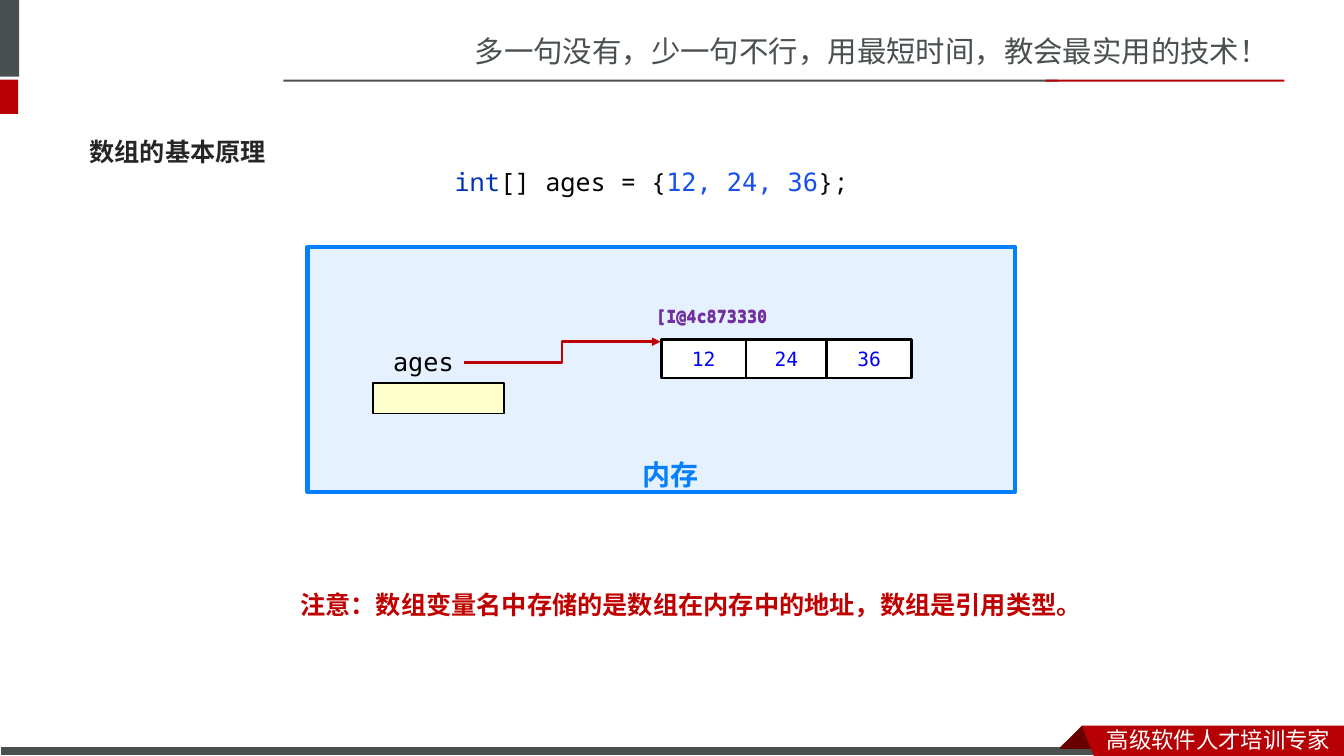
from lxml import etree
from pptx import Presentation
from pptx import util as u
from pptx.dml.color import RGBColor
from pptx.enum import shapes, text
from pptx.oxml.ns import qn

PX = 9144  # 100 px to the inch
GREY = RGBColor(0x49, 0x50, 0x4F)
RED = RGBColor(0xB6, 0x00, 0x04)
MAROON = RGBColor(0x68, 0x00, 0x00)
WHITE = RGBColor(0xFF, 0xFF, 0xFF)
BLACK = RGBColor(0x00, 0x00, 0x00)
INK = RGBColor(0x26, 0x26, 0x26)
CODE = RGBColor(0x08, 0x08, 0x08)
NAVY = RGBColor(0x00, 0x33, 0xB3)
ROYAL = RGBColor(0x17, 0x50, 0xEB)
BLUE = RGBColor(0x00, 0x00, 0xFF)
SKY = RGBColor(0x04, 0x7F, 0xFD)
CREAM = RGBColor(0xFF, 0xFF, 0xCC)
ALERT = RGBColor(0xC0, 0x00, 0x00)
PURPLE = RGBColor(0x70, 0x30, 0xA0)
SANS = "Noto Sans CJK SC"
HAN = "Noto Sans CJK JP"
MONO = "DejaVu Sans Mono"
NOTO = "Noto Sans Mono"

deck = Presentation()
deck.slide_width, deck.slide_height = 1333 * PX, 750 * PX
slide = deck.slides.add_slide(deck.slide_layouts[6])
items = slide.shapes


def write(shape, runs, size, bold=False, align=text.PP_ALIGN.LEFT):
    """Fill the first paragraph with runs of (words, font, colour)."""
    frame = shape.text_frame
    frame.word_wrap = True
    par = frame.paragraphs[0]
    par.alignment = align
    for words, face, color in runs:
        run = par.add_run()
        run.text = words
        run.font.size = u.Pt(size)
        run.font.bold = bold
        run.font.color.rgb = color
        run.font.name = face
        east = etree.SubElement(run.font._element, qn("a:ea"))
        east.set("typeface", face if "CJK" in face else SANS)
    return par


def paint(shape, fill, line=None, width=0):
    shape.shadow.inherit = False
    shape.fill.solid()
    shape.fill.fore_color.rgb = fill
    if line is None:
        shape.line.fill.background()
    else:
        shape.line.color.rgb = line
        shape.line.width = u.Pt(width)


# Bars, memory block and variable slot
for box, fill, line, width in [
    ((0, 0, 19, 76), GREY, None, 0),
    ((0, 79, 18, 34), RED, None, 0),
    ((281, 79, 768, 2), GREY, None, 0),
    ((1037, 79, 237, 2), RED, None, 0),
    ((0, 741, 1099, 9), GREY, WHITE, 0.75),
    ((305, 245, 702, 243), SKY, SKY, 3),
    ((370, 380, 130, 30), CREAM, BLACK, 1),
]:
    bar = items.add_shape(shapes.MSO_SHAPE.RECTANGLE, *[n * PX for n in box])
    paint(bar, fill, line, width)
    if fill == SKY:
        tint = bar.fill._xPr.find(qn("a:solidFill"))[0]
        etree.SubElement(tint, qn("a:alpha")).set("val", "10000")

# Footer ribbon
for points, fill in [
    ([(1073, 720), (1095, 742), (1094, 743), (1052, 743), (1051, 742)], MAROON),
    ([(1073, 720), (1333, 720), (1333, 750), (1085, 750)], RED),
]:
    path = items.build_freeform(*points[0], scale=PX)
    path.add_line_segments(points[1:], close=True)
    paint(path.convert_to_shape(), fill)

# Arrow from the variable to the array
arrow = items.add_connector(
    shapes.MSO_CONNECTOR.ELBOW, 460 * PX, 360 * PX, 655 * PX, 339 * PX)
arrow.line.color.rgb = ALERT
arrow.line.width = u.Pt(2)
etree.SubElement(arrow.line._get_or_add_ln(), qn("a:tailEnd")).set("type", "triangle")
etree.SubElement(arrow._element.spPr, qn("a:effectLst"))

# Array cells
left = 656
for value, width in [("12", 84), ("24", 80), ("36", 84)]:
    cell = items.add_shape(
        shapes.MSO_SHAPE.RECTANGLE, left * PX, 337 * PX, width * PX, 38 * PX)
    paint(cell, WHITE, BLACK, 2)
    cell.text_frame.vertical_anchor = text.MSO_ANCHOR.MIDDLE
    write(cell, [(value, MONO, BLUE)], 14, align=text.PP_ALIGN.CENTER)
    left += width

# Single-style labels; the address is struck twice for weight
for box, words, face, color, size, bold in [
    ((461, 28, 872, 45), "多一句没有，少一句不行，用最短时间，教会最实用的技术！", SANS, GREY, 21, False),
    ((1088, 715, 245, 35), "高级软件人才培训专家", SANS, WHITE, 16, False),
    ((288, 580, 808, 40), "注意：数组变量名中存储的是数组在内存中的地址，数组是引用类型。", HAN, ALERT, 18, True),
    ((380, 339, 80, 40), "ages", MONO, BLACK, 18, False),
    ((641, 299, 179, 30), "[I@4c873330", MONO, PURPLE, 12, True),
    ((641, 298, 179, 30), "[I@4c873330", MONO, PURPLE, 12, True),
]:
    label = items.add_textbox(*[n * PX for n in box])
    write(label, [(words, face, color)], size, bold)

title = items.add_textbox(79 * PX, 122 * PX, 267 * PX, 57 * PX)
title.text_frame.vertical_anchor = text.MSO_ANCHOR.MIDDLE
write(title, [("数组的基本原理", MONO, INK)], 18, True)

store = items.add_textbox(528 * PX, 432 * PX, 274 * PX, 39 * PX)
par = write(store, [("内存", HAN, SKY)], 20, True, text.PP_ALIGN.CENTER)
par.line_spacing = 1.5

code = items.add_textbox(441 * PX, 160 * PX, 429 * PX, 40 * PX)
write(code, [
    ("int", NOTO, NAVY),
    ("[] ", NOTO, CODE),
    ("ages ", NOTO, BLACK),
    ("= {", NOTO, CODE),
    ("12, 24, 36", MONO, ROYAL),
    ("};", NOTO, CODE),
], 18)

deck.save("out.pptx")
